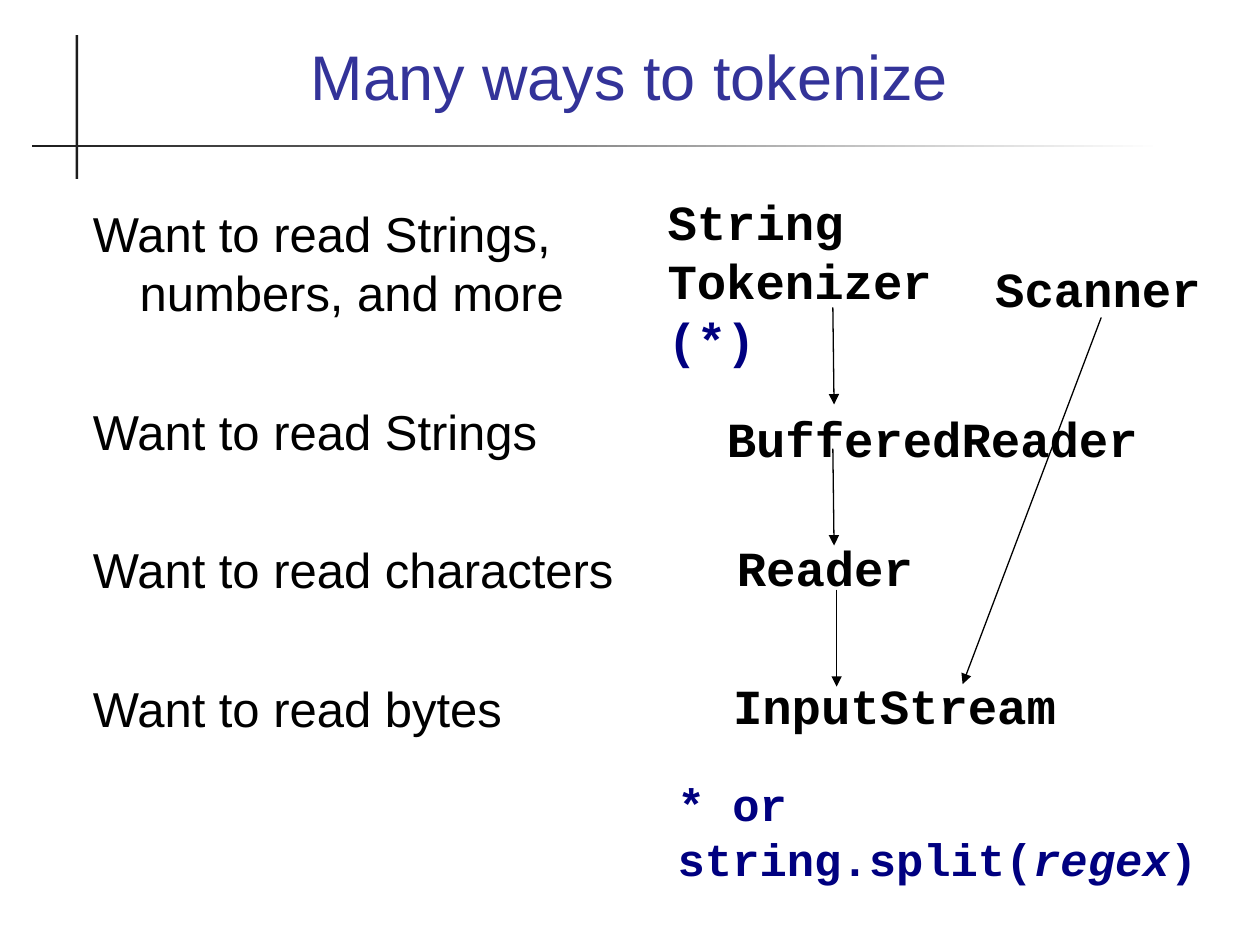
"""Build the slide that compares Java ways to tokenize input."""
from lxml import etree
from pptx import Presentation
from pptx.dml.color import RGBColor
from pptx.enum import shapes, text
from pptx.oxml import ns
from pptx.util import Inches, Pt

BLACK = RGBColor(0x00, 0x00, 0x00)
WHITE = RGBColor(0xFF, 0xFF, 0xFF)
CHARCOAL = RGBColor(0x1C, 0x1C, 0x1C)
INDIGO = RGBColor(0x33, 0x33, 0x99)
NAVY = RGBColor(0x00, 0x00, 0x80)

deck = Presentation()
deck.slide_width = Inches(10)
deck.slide_height = Inches(7.5)
page = deck.slides.add_slide(deck.slide_layouts[6])


def add_box(left, top, width, height, inset=0.05):
    box = page.shapes.add_textbox(
        Inches(left), Inches(top), Inches(width), Inches(height))
    box.text_frame.word_wrap = True
    box.text_frame.margin_top = Inches(inset)
    return box.text_frame


def add_span(para, words, size, color, font="Arial", bold=False, italic=False):
    span = para.add_run()
    span.text = words
    span.font.name = font
    span.font.size = Pt(size)
    span.font.bold = bold
    span.font.italic = italic
    span.font.color.rgb = color


rules = []
for left, top, width, height in [(0.6, 0.28, 0.02, 1.14), (0.25, 1.15, 8.98, 0.02)]:
    rule = page.shapes.add_shape(
        shapes.MSO_SHAPE.RECTANGLE,
        Inches(left), Inches(top), Inches(width), Inches(height))
    rule.shadow.inherit = False
    rule.line.fill.background()
    rules.append(rule)
upright, fading = rules
upright.fill.solid()
upright.fill.fore_color.rgb = CHARCOAL
fading.fill.gradient()
fading.fill.gradient_angle = 0
for stop, color in zip(fading.fill.gradient_stops, (CHARCOAL, WHITE)):
    stop.color.rgb = color

title = add_box(0.67, 0.13, 8.65, 0.94)
title.vertical_anchor = text.MSO_ANCHOR.MIDDLE
title.paragraphs[0].alignment = text.PP_ALIGN.CENTER
add_span(title.paragraphs[0], "Many ways to tokenize", 36, INDIGO)

needs = [
    "Want to read Strings, numbers, and more",
    "Want to read Strings",
    "Want to read characters",
    "Want to read bytes",
]
body = add_box(0.63, 1.57, 5.2, 5.2)
for index, need in enumerate(needs):
    para = body.add_paragraph() if index else body.paragraphs[0]
    if index:
        para.space_before = Pt(45.6)
    para.line_spacing = Pt(33.6)
    properties = para._p.get_or_add_pPr()
    properties.set("marL", str(Inches(0.38)))
    properties.set("indent", str(Inches(-0.37)))
    add_span(para, need, 28, BLACK)

readers = [
    ("InputStream", 5.72, 5.26, 3.54),
    ("Reader", 5.75, 4.17, 3.54),
    ("BufferedReader", 5.67, 3.14, 3.54),
    ("Scanner", 7.8, 1.95, 1.89),
]
for name, left, top, width in readers:
    para = add_box(left, top, width, 0.57, 0.1).paragraphs[0]
    para.line_spacing = Pt(33.6)
    add_span(para, name, 28, BLACK, "Courier New", True)

para = add_box(5.2, 1.42, 2.36, 1.5, 0.1).paragraphs[0]
para.line_spacing = Pt(33.6)
for word in ("String", "Tokenizer"):
    add_span(para, word, 28, BLACK, "Courier New", True)
    para.add_line_break()
add_span(para, "(*)", 28, NAVY, "Courier New", True)

para = add_box(5.28, 6.06, 4.49, 1.1, 0.1).paragraphs[0]
para.line_spacing = Pt(31.4)
for words, italic in [("* or string.split(", False), ("regex", True), (")", False)]:
    add_span(para, words, 26, NAVY, "Courier New", True, italic)

arrows = [
    (6.61, 2.44, 6.62, 3.21),
    (6.61, 3.56, 6.62, 4.33),
    (6.64, 4.68, 6.64, 5.45),
    (8.74, 2.52, 7.64, 5.43),
]
for ends in arrows:
    arrow = page.shapes.add_connector(
        shapes.MSO_CONNECTOR.STRAIGHT, *[Inches(end) for end in ends])
    arrow.line.color.rgb = BLACK
    arrow.line.width = Pt(0.75)
    etree.SubElement(arrow.line._get_or_add_ln(), ns.qn("a:tailEnd"), type="triangle")
    etree.SubElement(arrow._element.spPr, ns.qn("a:effectLst"))

deck.save("out.pptx")
